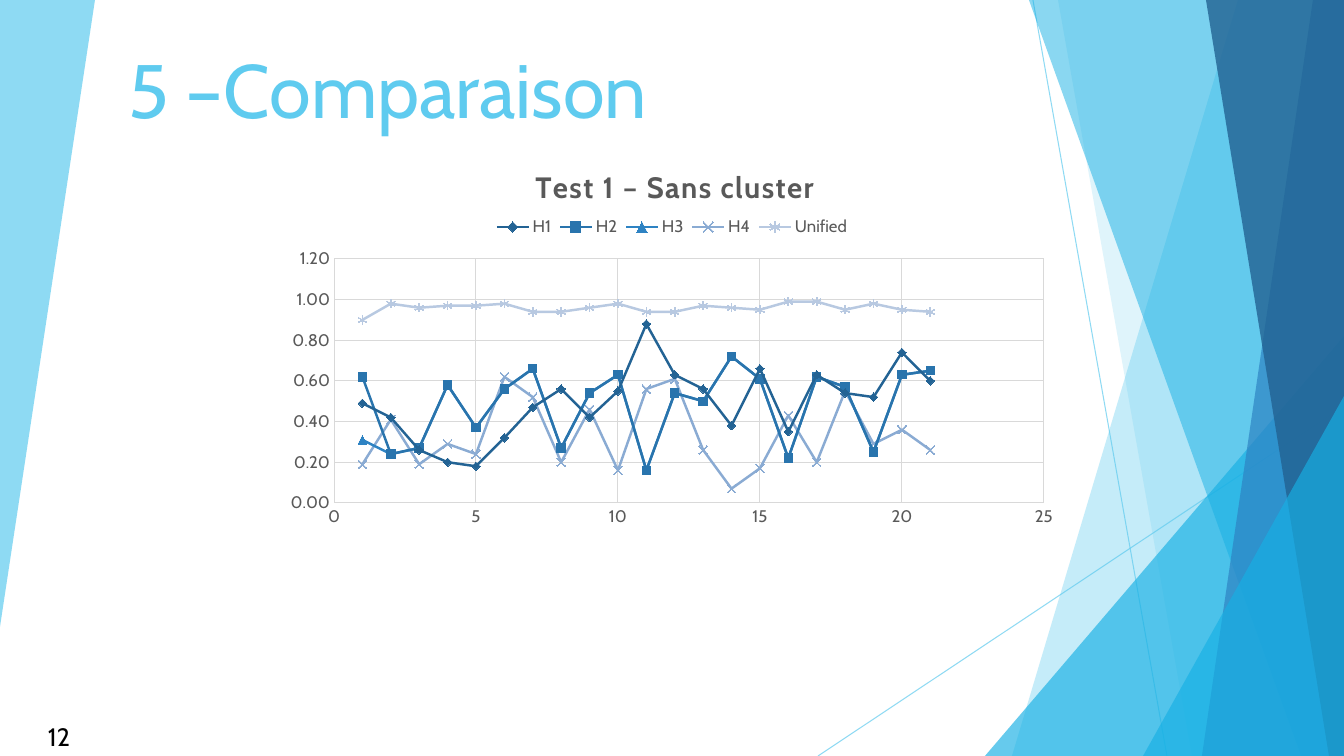
from lxml import etree
from pptx import Presentation
from pptx.chart.data import XyChartData
from pptx.dml.color import RGBColor
from pptx.enum.chart import XL_CHART_TYPE, XL_LEGEND_POSITION, XL_MARKER_STYLE, XL_TICK_MARK
from pptx.enum.shapes import MSO_CONNECTOR, MSO_SHAPE
from pptx.enum.text import MSO_ANCHOR, MSO_AUTO_SIZE, PP_ALIGN
from pptx.oxml import parse_xml
from pptx.oxml.ns import nsdecls, qn
from pptx.util import Emu, Pt

SCATTER = XL_CHART_TYPE.XY_SCATTER_LINES
TOP = XL_LEGEND_POSITION.TOP
NO_TICK = XL_TICK_MARK.NONE
STRAIGHT = MSO_CONNECTOR.STRAIGHT
TRIANGLE = MSO_SHAPE.ISOSCELES_TRIANGLE
DIAMOND, SQUARE, TRI_MARK, CROSS, STAR = (
    XL_MARKER_STYLE.DIAMOND, XL_MARKER_STYLE.SQUARE, XL_MARKER_STYLE.TRIANGLE,
    XL_MARKER_STYLE.X, XL_MARKER_STYLE.STAR)

FONT = "Cabin"
SKY = RGBColor(0x5F, 0xCB, 0xEF)
CYAN = RGBColor(0x17, 0xB0, 0xE4)
BLUE = RGBColor(0x2E, 0x83, 0xC3)
NAVY = RGBColor(0x22, 0x62, 0x92)
BLACK = RGBColor(0, 0, 0)
GREY = RGBColor(0x59, 0x59, 0x59)
GRID = RGBColor(0xD9, 0xD9, 0xD9)

W, H = 1344, 756
SCALE = 12192000 / W

TITLE = "5 –Comparaison"
TITLE_BOX = (118, 61, 874, 78)
PAGE = "12"
PAGE_BOX = (0, 716, 118, 40)
CHART_TITLE = "Test 1 – Sans cluster"
CHART_BOX = (275, 139, 793, 397)
CHART_TITLE_AT = (530, 161)
LEGEND_BOX = (488, 214, 368, 26)
PLOT_BOX = (334, 259, 710, 244)

DECOR = [
    ("poly", [(0, 0), (95, 0), (0, 627)], SKY, 70),
    ("line", (1033, 0, 1167, H), SKY, 70),
    ("line", (W, 406, 818, H), SKY, 70),
    ("poly", [(1238, 0), (W, 0), (W, H), (1012, H)], SKY, 36),
    ("poly", [(1058, 0), (W, 0), (W, H), (1192, H)], SKY, 20),
    ("triangle", (985, 336, 359, 420), CYAN, 66),
    ("poly", [(1029, 0), (W, 0), (W, H), (1301, H)], CYAN, 50),
    ("poly", [(1313, 0), (W, 0), (W, H), (1202, H)], BLUE, 70),
    ("poly", [(1206, 0), (W, 0), (W, H), (1329, H)], NAVY, 80),
    ("triangle", (1143, 396, 201, 360), CYAN, 66),
]

H2_TAIL = [0.24, 0.27, 0.58, 0.37, 0.56, 0.66, 0.27, 0.54, 0.63, 0.16,
           0.54, 0.5, 0.72, 0.61, 0.22, 0.62, 0.57, 0.25, 0.63, 0.65]
SERIES = [
    ("H1", RGBColor(0x23, 0x63, 0x94), DIAMOND, True,
     [0.49, 0.42, 0.26, 0.2, 0.18, 0.32, 0.47, 0.56, 0.42, 0.55, 0.88,
      0.63, 0.56, 0.38, 0.66, 0.35, 0.63, 0.54, 0.52, 0.74, 0.6]),
    ("H2", RGBColor(0x29, 0x74, 0xAD), SQUARE, True, [0.62] + H2_TAIL),
    ("H3", BLUE, TRI_MARK, True, [0.31] + H2_TAIL),
    ("H4", RGBColor(0x8A, 0xAB, 0xD3), CROSS, False,
     [0.19, 0.41, 0.19, 0.29, 0.24, 0.62, 0.52, 0.2, 0.46, 0.16, 0.56,
      0.61, 0.26, 0.07, 0.17, 0.43, 0.2, 0.55, 0.29, 0.36, 0.26]),
    ("Unified", RGBColor(0xB8, 0xC9, 0xE1), STAR, False,
     [0.9, 0.98, 0.96, 0.97, 0.97, 0.98, 0.94, 0.94, 0.96, 0.98, 0.94,
      0.94, 0.97, 0.96, 0.95, 0.99, 0.99, 0.95, 0.98, 0.95, 0.94]),
]


def px(*values):
    return [Emu(round(v * SCALE)) for v in values]


def set_font(font, size, color, bold=False):
    font.name, font.size, font.bold = FONT, Pt(size), bold
    font.color.rgb = color


def set_alpha(s, percent):
    for clr in s._element.xpath("./p:spPr//a:srgbClr"):
        etree.SubElement(clr, qn("a:alpha")).set("val", str(percent * 1000))


def set_line(line, color, width):
    line.color.rgb = color
    line.width = Pt(width)


def add_decor(slide, kind, geometry, color, alpha):
    if kind == "line":
        s = slide.shapes.add_connector(STRAIGHT, *px(*geometry))
        set_line(s.line, color, 0.75)
        etree.SubElement(s._element.spPr, qn("a:effectLst"))
    else:
        if kind == "triangle":
            s = slide.shapes.add_shape(TRIANGLE, *px(*geometry))
            s.adjustments[0] = 1
        else:
            fb = slide.shapes.build_freeform(*geometry[0], scale=SCALE)
            fb.add_line_segments(geometry[1:], close=True)
            s = fb.convert_to_shape()
        s.shadow.inherit = False
        s.fill.solid()
        s.fill.fore_color.rgb = color
        s.line.fill.background()
    set_alpha(s, alpha)


def write(tf, text, size, color, align):
    p = tf.paragraphs[0]
    p.alignment = align
    r = p.add_run()
    r.text = text
    set_font(r.font, size, color)


def place(element, box, after, inner=False):
    left, top, width, height = CHART_BOX
    fractions = zip("xywh", ((box[0] - left) / width, (box[1] - top) / height,
                             *(n / d for n, d in zip(box[2:], (width, height)))))
    target = '<c:layoutTarget val="inner"/>' if inner else ""
    values = "".join(f'<c:{k} val="{v:.4f}"/>' for k, v in fractions)
    for old in element.findall(qn("c:layout")):
        element.remove(old)
    layout = parse_xml(
        f'<c:layout {nsdecls("c")}><c:manualLayout>{target}<c:xMode val="edge"/>'
        f'<c:yMode val="edge"/>{values}</c:manualLayout></c:layout>')
    if after:
        element.find(qn(after)).addnext(layout)
    else:
        element.insert(0, layout)


def style_axis(axis, top, step, number_format):
    axis.minimum_scale, axis.maximum_scale, axis.major_unit = 0, top, step
    axis.major_tick_mark = axis.minor_tick_mark = NO_TICK
    axis.has_major_gridlines = True
    set_line(axis.major_gridlines.format.line, GRID, 0.75)
    set_line(axis.format.line, GRID, 0.75)
    set_font(axis.tick_labels.font, 12, GREY)
    axis.tick_labels.number_format = number_format
    axis.tick_labels.number_format_is_linked = False


def add_comparison(slide):
    data = XyChartData()
    for name, _, _, _, values in SERIES:
        series = data.add_series(name)
        for x, y in enumerate(values, 1):
            series.add_data_point(x, y)
    chart = slide.shapes.add_chart(SCATTER, *px(*CHART_BOX), data).chart
    set_font(chart.font, 10, BLACK)
    chart.plots[0].vary_by_categories = False
    for series, (_, color, style, filled, _) in zip(chart.plots[0].series, SERIES):
        set_line(series.format.line, color, 1.75)
        marker = series.marker
        marker.style, marker.size = style, 6
        set_line(marker.format.line, color, 0.75)
        if filled:
            marker.format.fill.solid()
            marker.format.fill.fore_color.rgb = color
        else:
            marker.format.fill.background()
    style_axis(chart.category_axis, 25, 5, "General")
    style_axis(chart.value_axis, 1.2, 0.2, "0.00")

    chart.has_title = True
    r = chart.chart_title.text_frame.paragraphs[0].add_run()
    r.text = CHART_TITLE
    set_font(r.font, 21, GREY, bold=True)
    r.font._element.set("spc", "100")
    chart.has_legend = True
    chart.legend.position = TOP
    chart.legend.include_in_layout = False
    set_font(chart.legend.font, 12, GREY)
    place(chart.chart_title._element, CHART_TITLE_AT, "c:tx")
    place(chart.legend._element, LEGEND_BOX, "c:legendPos")
    place(chart._chartSpace.chart.plotArea, PLOT_BOX, None, inner=True)


def main():
    prs = Presentation()
    prs.slide_width, prs.slide_height = px(W, H)
    slide = prs.slides.add_slide(prs.slide_layouts[5])
    for item in DECOR:
        add_decor(slide, *item)

    title = slide.shapes.title
    title.left, title.top, title.width, title.height = px(*TITLE_BOX)
    tf = title.text_frame
    tf.auto_size = MSO_AUTO_SIZE.NONE
    tf.vertical_anchor = MSO_ANCHOR.BOTTOM
    write(tf, TITLE, 54, SKY, PP_ALIGN.LEFT)

    add_comparison(slide)

    tf = slide.shapes.add_textbox(*px(*PAGE_BOX)).text_frame
    tf.word_wrap = True
    write(tf, PAGE, 18, BLACK, PP_ALIGN.CENTER)
    prs.save("out.pptx")


if __name__ == "__main__":
    main()
